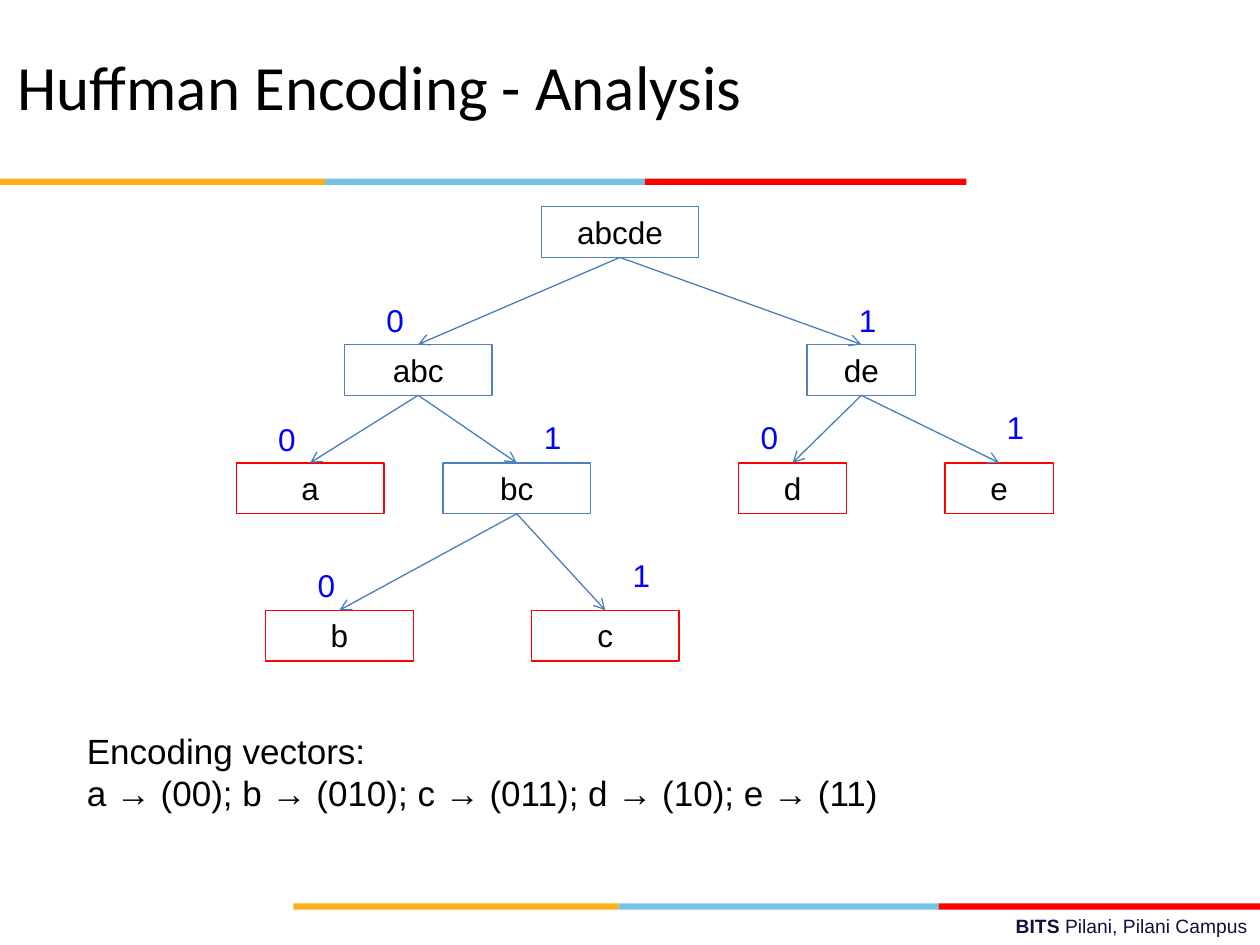
import pptx
import pptx.util
import pptx.dml.color
import pptx.enum.shapes
import pptx.enum.text
from lxml import etree

Pt = pptx.util.Pt
Align = pptx.enum.text.PP_ALIGN
Anchor = pptx.enum.text.MSO_ANCHOR

TITLE = "Huffman Encoding - Analysis"
VECTORS = ["Encoding vectors:", "a → (00); b → (010); c → (011); d → (10); e → (11)"]
CAMPUS = [("BITS ", True), ("Pilani, Pilani Campus", False)]

BAND_PARTS = [("FCB017", 0, 185.8), ("76C2E5", 185.8, 182.9), ("FF0000", 368.7, 183.6)]
BAND_ORIGINS = [(167.7, 516.2), (0, 102.1)]
BAND_HEIGHT = 3.6

LEVEL_TOPS = [118, 196.8, 264.5, 348.7]
NODE_HEIGHT = 29.1
ROOT_WIDTH, LEFT_WIDTH, RIGHT_WIDTH = 90, 84.4, 62
NODES = {
    "abcde": (0, 354.3, ROOT_WIDTH),
    "abc": (1, 239, LEFT_WIDTH),
    "de": (1, 492.2, RIGHT_WIDTH),
    "d": (2, 452.9, RIGHT_WIDTH),
    "a": (2, 177.2, LEFT_WIDTH),
    "bc": (2, 295.3, LEFT_WIDTH),
    "e": (2, 571, RIGHT_WIDTH),
    "b": (3, 194, LEFT_WIDTH),
    "c": (3, 345.9, LEFT_WIDTH),
}
BRANCHES = [
    ("abcde", "abc", "0", 213.8, 168.6),
    ("abcde", "de", "1", 483.8, 168.6),
    ("abc", "a", "0", 151.9, 236.2),
    ("abc", "bc", "1", 303.8, 235.2),
    ("de", "d", "0", 427.6, 235.2),
    ("de", "e", "1", 568.2, 229.6),
    ("bc", "b", "0", 174.4, 319.8),
    ("bc", "c", "1", 354.4, 314),
]


def rgb(value):
    return pptx.dml.color.RGBColor.from_string(value)


def write(shape, lines, size=18, font="Arial", color="000000",
          align=Align.LEFT, anchor=Anchor.TOP):
    frame = shape.text_frame
    frame.word_wrap = True
    frame.vertical_anchor = anchor
    for index, line in enumerate(lines):
        paragraph = frame.paragraphs[0] if index == 0 else frame.add_paragraph()
        paragraph.alignment = align
        for text, bold in [(line, False)] if isinstance(line, str) else line:
            run = paragraph.add_run()
            run.text = text
            run.font.size = Pt(size)
            run.font.name = font
            run.font.bold = bold
            run.font.color.rgb = rgb(color)


def add_text(slide, box, lines, **style):
    write(slide.shapes.add_textbox(*map(Pt, box)), lines, **style)


def add_rectangle(slide, box, fill=None, line=None):
    rectangle = slide.shapes.add_shape(
        pptx.enum.shapes.MSO_SHAPE.RECTANGLE, *map(Pt, box))
    rectangle.shadow.inherit = False
    if fill:
        rectangle.fill.solid()
        rectangle.fill.fore_color.rgb = rgb(fill)
    else:
        rectangle.fill.background()
    if line:
        rectangle.line.color.rgb = rgb(line)
        rectangle.line.width = Pt(0.75)
    else:
        rectangle.line.fill.background()
    return rectangle


def add_arrow(slide, parent, child):
    arrow = slide.shapes.add_connector(
        pptx.enum.shapes.MSO_CONNECTOR.STRAIGHT, 0, 0, 0, 0)
    arrow.begin_connect(parent, 2)
    arrow.end_connect(child, 0)
    arrow.line.color.rgb = rgb("4A7EBB")
    arrow.line.width = Pt(0.75)
    namespace = "{http://schemas.openxmlformats.org/drawingml/2006/main}"
    etree.SubElement(arrow.line._get_or_add_ln(), namespace + "tailEnd", type="arrow")
    etree.SubElement(arrow._element.spPr, namespace + "effectLst")


def add_tree(slide):
    parents = {branch[0] for branch in BRANCHES}
    boxes = {}
    for label, (level, center, width) in NODES.items():
        box = (center - width / 2, LEVEL_TOPS[level], width, NODE_HEIGHT)
        outline = "4F81BD" if label in parents else "FF0000"
        boxes[label] = add_rectangle(slide, box, line=outline)
        write(boxes[label], [label], align=Align.CENTER)
    for parent, child, bit, left, top in BRANCHES:
        add_arrow(slide, boxes[parent], boxes[child])
        add_text(slide, (left, top, 22.5, NODE_HEIGHT), [bit], color="0000FF")


def main():
    deck = pptx.Presentation()
    deck.slide_width, deck.slide_height = Pt(720), Pt(540)
    slide = deck.slides.add_slide(deck.slide_layouts[6])
    add_text(slide, (257.8, 519.1, 462.2, 20.6), [CAMPUS],
             size=11, color="101141", align=Align.RIGHT)
    for left, top in BAND_ORIGINS:
        for color, offset, width in BAND_PARTS:
            add_rectangle(slide, (left + offset, top, width, BAND_HEIGHT), fill=color)
    add_tree(slide)
    add_text(slide, (42.5, 413.4, 630, 55.7), VECTORS, size=20)
    add_text(slide, (3, 3.8, 648, 90), [TITLE], size=36, font="Calibri",
             anchor=Anchor.MIDDLE)
    deck.save("out.pptx")


if __name__ == "__main__":
    main()
